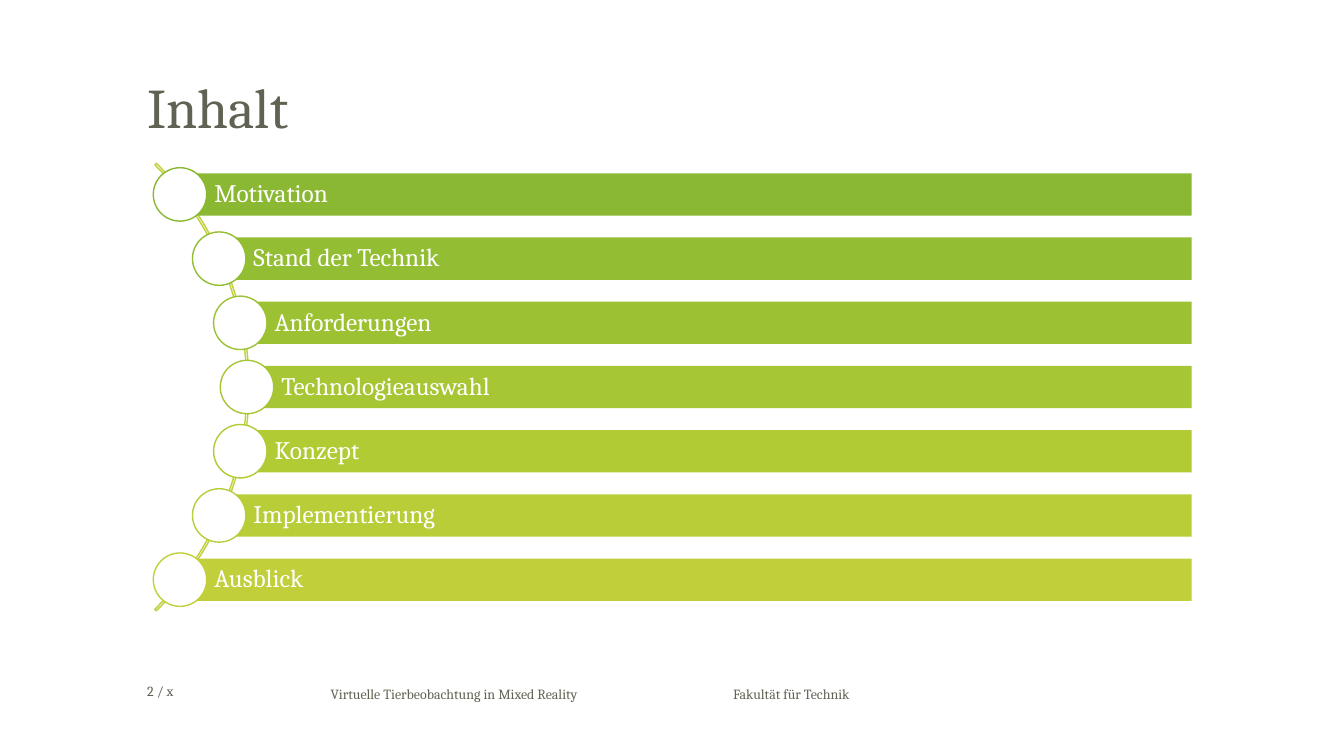
from dataclasses import dataclass
from math import sqrt
from typing import Any

from pptx import Presentation
from pptx.dml.color import RGBColor
from pptx.enum.shapes import MSO_SHAPE
from pptx.enum.text import MSO_ANCHOR, PP_ALIGN
from pptx.util import Inches, Pt


@dataclass(frozen=True)
class Theme:
    font: str = "Cambria"
    ink: str = "626254"
    paper: str = "FFFFFF"
    arc: str = "C0CF3A"
    title: int = 40
    body: int = 18
    small: int = 10
    line: int = 1


@dataclass(frozen=True)
class Box:
    left: float
    top: float
    width: float
    height: float


@dataclass(frozen=True)
class Label:
    text: str
    box: Box
    size: int
    spacing: float = 0.9
    anchor: MSO_ANCHOR = MSO_ANCHOR.TOP


@dataclass(frozen=True)
class Topic:
    text: str
    color: str


THEME = Theme()

LABELS = [
    Label("Virtuelle Tierbeobachtung in Mixed Reality",
          Box(3.28, 6.77, 3.26, 0.17), THEME.small, 1.2),
    Label("Fakultät für Technik", Box(7.27, 6.77, 2.41, 0.17), THEME.small, 1.2),
    Label("2 / x", Box(1.46, 6.77, 2.41, 0.17), THEME.small,
          anchor=MSO_ANCHOR.BOTTOM),
    Label("Inhalt", Box(1.46, 0.8, 10.42, 0.6), THEME.title),
]

TOPICS = [
    Topic("Motivation", "8AB833"),
    Topic("Stand der Technik", "93BD33"),
    Topic("Anforderungen", "9CC233"),
    Topic("Technologieauswahl", "A6C634"),
    Topic("Konzept", "B0CB34"),
    Topic("Implementierung", "B8CD37"),
    Topic("Ausblick", "C0CF3A"),
]

ARC = Box(-3.81, 0.7, 6.28, 6.28)
ARC_FORM = (189, 27, 0.0034)
MID_X, MID_Y, RADIUS = -0.63, 3.84, 3.08
PITCH = 0.637
RIGHT = 11.82
BAR = 0.42
DOT = 0.53


def apply(target: Any, values: dict[str, Any]) -> None:
    for name, value in values.items():
        setattr(target, name, value)


def write(shape: Any, text: str, size: int, color: str, spacing: float,
          anchor: MSO_ANCHOR, insets: tuple[float, ...]) -> None:
    """Fill a shape with one paragraph; insets run left, top, right, bottom."""
    left, top, right, bottom = map(Inches, insets)
    frame = shape.text_frame
    apply(frame, {
        "word_wrap": True, "vertical_anchor": anchor,
        "margin_left": left, "margin_top": top,
        "margin_right": right, "margin_bottom": bottom,
    })
    line = frame.paragraphs[0]
    apply(line, {"alignment": PP_ALIGN.LEFT, "line_spacing": spacing})
    run = line.add_run()
    run.text = text
    apply(run.font, {"name": THEME.font, "size": Pt(size)})
    run.font.color.rgb = RGBColor.from_string(color)


def place(box: Box) -> tuple[int, ...]:
    return tuple(map(Inches, (box.left, box.top, box.width, box.height)))


def draw(slide: Any, kind: MSO_SHAPE, box: Box,
         fill: str | None = None, line: str | None = None) -> Any:
    shape = slide.shapes.add_shape(kind, *place(box))
    shape.shadow.inherit = False
    if fill:
        shape.fill.solid()
        shape.fill.fore_color.rgb = RGBColor.from_string(fill)
    else:
        shape.fill.background()
    if line:
        shape.line.color.rgb = RGBColor.from_string(line)
        shape.line.width = Pt(THEME.line)
    else:
        shape.line.fill.background()
    return shape


def add_label(slide: Any, label: Label) -> None:
    shape = slide.shapes.add_textbox(*place(label.box))
    write(shape, label.text, label.size, THEME.ink, label.spacing,
          label.anchor, (0, 0, 0, 0))


def add_arc(slide: Any) -> None:
    arc = draw(slide, MSO_SHAPE.BLOCK_ARC, ARC, line=THEME.arc)
    for index, value in enumerate(ARC_FORM):
        arc.adjustments[index] = value


def add_topic(slide: Any, topic: Topic, step: float) -> None:
    """Draw a bar and its dot, centred on the arc, step rows from the middle."""
    rise = step * PITCH
    x = MID_X + sqrt(RADIUS**2 - rise**2)
    y = MID_Y + rise
    bar = draw(slide, MSO_SHAPE.RECTANGLE,
               Box(x, y - BAR / 2, RIGHT - x, BAR), fill=topic.color)
    write(bar, topic.text, THEME.body, THEME.paper, 0.9,
          MSO_ANCHOR.MIDDLE, (0.34, 0.05, 0.05, 0.05))
    draw(slide, MSO_SHAPE.OVAL, Box(x - DOT / 2, y - DOT / 2, DOT, DOT),
         THEME.paper, topic.color)


def main() -> None:
    deck = Presentation()
    apply(deck, {"slide_width": Inches(13.33), "slide_height": Inches(7.5)})
    slide = deck.slides.add_slide(deck.slide_layouts[6])
    add_arc(slide)
    for index, topic in enumerate(TOPICS):
        add_topic(slide, topic, index - (len(TOPICS) - 1) / 2)
    for label in LABELS:
        add_label(slide, label)
    deck.save("out.pptx")


if __name__ == "__main__":
    main()
